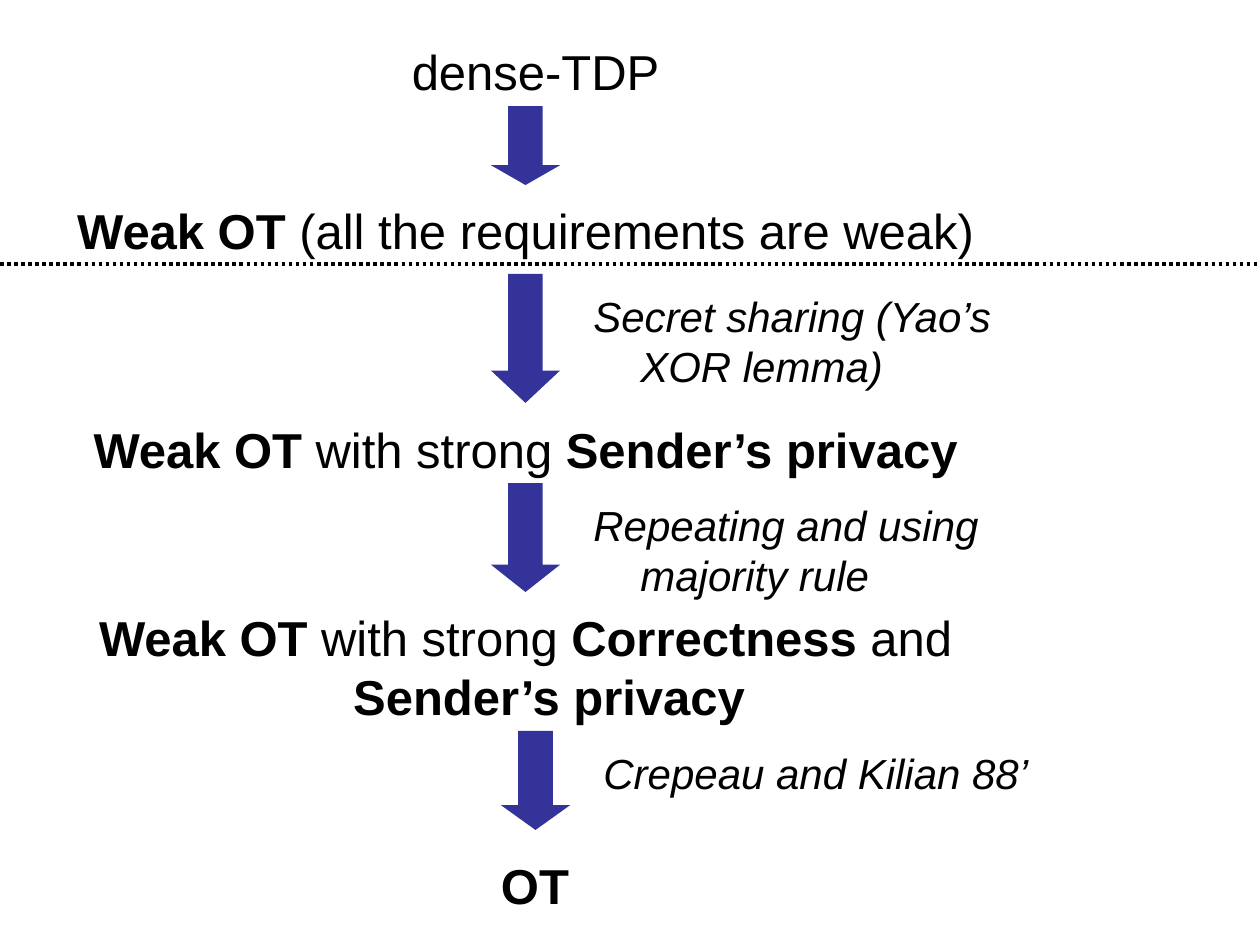
from pptx import Presentation
from pptx.dml.color import RGBColor
from pptx.enum.dml import MSO_LINE
from pptx.enum.shapes import MSO_CONNECTOR, MSO_SHAPE
from pptx.enum.text import PP_ALIGN
from pptx.oxml.ns import qn
from pptx.util import Emu, Pt
from lxml.etree import SubElement

SLIDE = (1260, 945)
ARROW_WIDTH, INDENT = 69, 47
DIVIDER_TOP = 264

# left, top, width, height, [(text, bold)]
STAGES = [
    (54, 35, 963, 72, [("dense-TDP", False)]),
    (44, 194, 963, 72, [("Weak OT ", True), ("(all the requirements are weak)", False)]),
    (44, 413, 963, 72, [("Weak OT", True), (" with strong ", False), ("Sender’s privacy", True)]),
    (44, 601, 963, 131, [("Weak OT", True), (" with strong ", False), ("Correctness", True),
                         (" and ", False), ("Sender’s privacy", True)]),
    (74, 849, 922, 72, [("OT", True)]),
]
NOTES = [
    (581, 284, 507, 113, "Secret sharing (Yao’s XOR lemma)"),
    (581, 493, 507, 113, "Repeating and using majority rule"),
    (591, 741, 517, 63, "Crepeau and Kilian 88’"),
]
# left, top, height
ARROWS = [(491, 106, 79), (491, 274, 129), (491, 483, 109), (501, 731, 99)]


def px(length):
    return Emu(round(length * 914400 / 126))


def color(value):
    return RGBColor.from_string(value)


def add_text(page, frame, spans, size, align, italic=False):
    box = page.shapes.add_textbox(*map(px, frame))
    box.text_frame.word_wrap = True
    para = box.text_frame.paragraphs[0]
    para.alignment = align
    properties = para._p.get_or_add_pPr()
    properties.set("marL", str(px(INDENT)))
    properties.set("indent", str(-px(INDENT)))
    para.font.name = "Arial"
    para.font.size = Pt(size)
    para.font.italic = italic
    para.font.color.rgb = color("000000")
    for text, bold in spans:
        span = para.add_run()
        span.text = text
        span.font.bold = bold


def add_arrow(page, left, top, height):
    arrow = page.shapes.add_shape(
        MSO_SHAPE.DOWN_ARROW, *map(px, (left, top, ARROW_WIDTH, height)))
    arrow.adjustments[0] = 0.5
    arrow.adjustments[1] = height / 4 / ARROW_WIDTH
    arrow.shadow.inherit = False
    arrow.fill.solid()
    arrow.fill.fore_color.rgb = color("333399")
    arrow.line.fill.background()


def add_divider(page):
    divider = page.shapes.add_connector(
        MSO_CONNECTOR.STRAIGHT, *map(px, (0, DIVIDER_TOP, SLIDE[0], DIVIDER_TOP)))
    divider.line.color.rgb = color("000000")
    divider.line.width = Pt(2)
    divider.line.dash_style = MSO_LINE.ROUND_DOT
    SubElement(divider._element.spPr, qn("a:effectLst"))


def main():
    """Build the slide of reductions from dense-TDP to OT."""
    deck = Presentation()
    deck.slide_width, deck.slide_height = map(px, SLIDE)
    page = deck.slides.add_slide(deck.slide_layouts[6])
    for *frame, spans in STAGES:
        add_text(page, frame, spans, 28, PP_ALIGN.CENTER)
    for *frame, text in NOTES:
        add_text(page, frame, [(text, False)], 24, PP_ALIGN.LEFT, italic=True)
    for arrow in ARROWS:
        add_arrow(page, *arrow)
    add_divider(page)
    deck.save("out.pptx")


if __name__ == "__main__":
    main()
